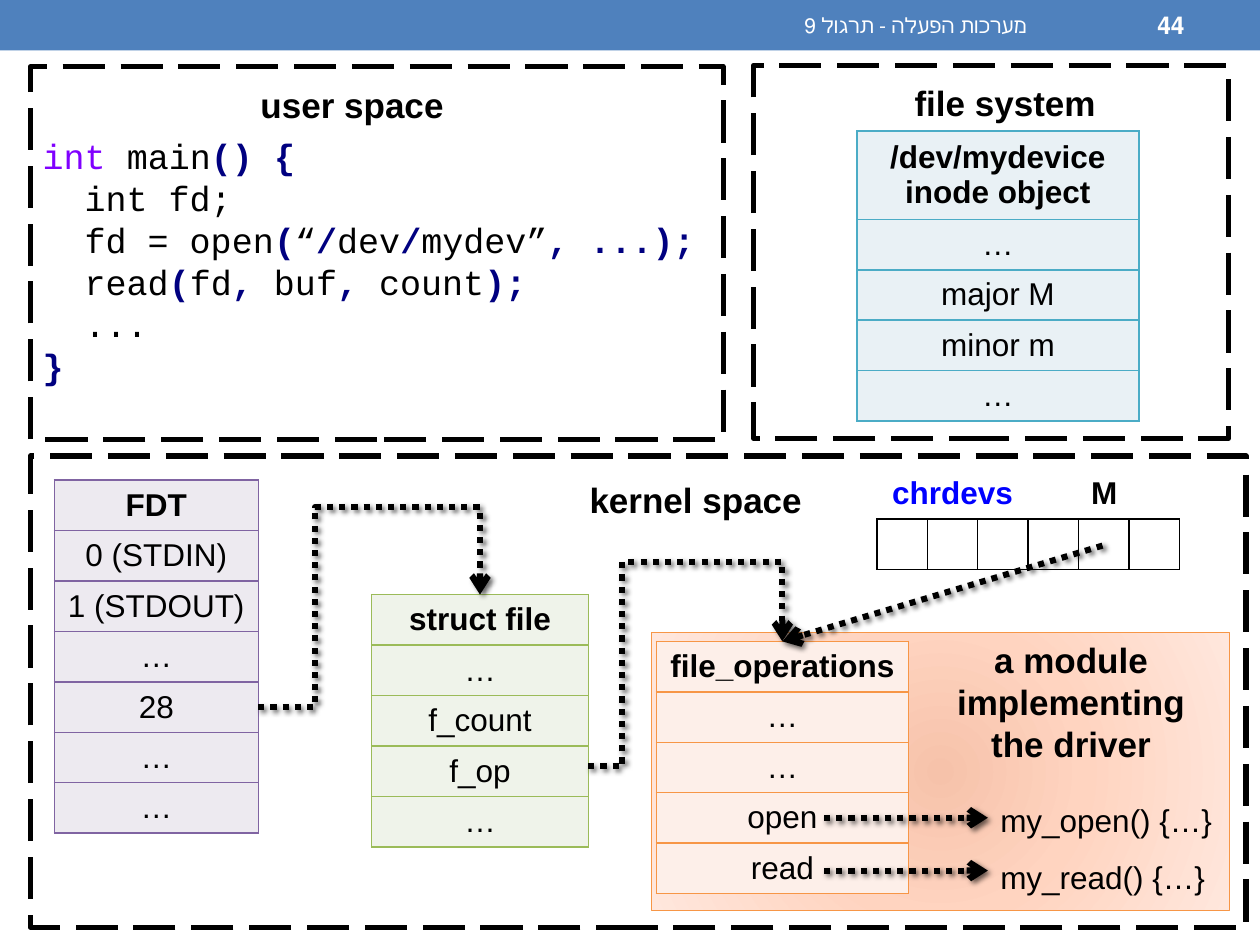
import dataclasses

import pptx
import pptx.dml.color
import pptx.enum.dml
import pptx.enum.shapes
import pptx.enum.text
import pptx.oxml
import pptx.oxml.ns
import pptx.util

Pt = pptx.util.Pt
RGB = pptx.dml.color.RGBColor.from_string
ALIGN = pptx.enum.text.PP_ALIGN
ANCHOR = pptx.enum.text.MSO_ANCHOR
AUTO_SIZE = pptx.enum.text.MSO_AUTO_SIZE
DASH = pptx.enum.dml.MSO_LINE
CONNECTOR = pptx.enum.shapes.MSO_CONNECTOR
RECTANGLE = pptx.enum.shapes.MSO_SHAPE.RECTANGLE
NS = pptx.oxml.ns.nsdecls("a")
qn = pptx.oxml.ns.qn


@dataclasses.dataclass(frozen=True)
class Theme:
    font: str = "Arial"
    code_font: str = "Courier New"
    heading: int = 20
    cell: int = 18
    number: int = 14
    course: int = 12
    black: str = "000000"
    white: str = "FFFFFF"
    band: str = "4F81BD"
    keyword: str = "8000FF"
    operator: str = "000080"
    array: str = "0000FF"
    purple: tuple = ("8064A2", "EDEAF0")
    green: tuple = ("9BBB59", "EFF3EA")
    orange: tuple = ("F79646", "FDEFE9")
    teal: tuple = ("4BACC6", "E9F1F5")
    module: tuple = ((0, "F6C2AA"), (45, "FFD4C0"), (100, "FFE7DD"))


theme = Theme()


def write_text(frame, lines, size, align=ALIGN.LEFT, font=theme.font):
    for index, runs in enumerate(lines):
        paragraph = frame.paragraphs[0] if index == 0 else frame.add_paragraph()
        paragraph.alignment = align
        for text, color, bold in runs:
            run = paragraph.add_run()
            run.text = text
            run.font.name = font
            run.font.size = Pt(size)
            run.font.bold = bold
            run.font.color.rgb = RGB(color)


def style_cell(cell, sides, border, fill=None):
    properties = cell._tc.get_or_add_tcPr()
    for side in sides:
        properties.append(pptx.oxml.parse_xml(
            f'<a:ln{side} {NS} w="12700"><a:solidFill><a:srgbClr val="{border}"/>'
            f'</a:solidFill></a:ln{side}>'))
    if fill:
        cell.fill.solid()
        cell.fill.fore_color.rgb = RGB(fill)
    else:
        cell.fill.background()
    cell.vertical_anchor = ANCHOR.MIDDLE


deck = pptx.Presentation()
deck.slide_width, deck.slide_height = Pt(720), Pt(540)
slide = deck.slides.add_slide(deck.slide_layouts[6])
shapes = slide.shapes

band = shapes.add_shape(RECTANGLE, 0, 0, Pt(720), Pt(28.8))
band.shadow.inherit = False
band.fill.solid()
band.fill.fore_color.rgb = RGB(theme.band)
band.line.fill.background()

for left, width, text, size, bold in (
    (270, 324, "מערכות הפעלה - תרגול 9", theme.course, False),
    (599.8, 84.2, "44", theme.number, True),
):
    header = shapes.add_textbox(Pt(left), Pt(1.4), Pt(width), Pt(25.9)).text_frame
    header.word_wrap = True
    header.vertical_anchor = ANCHOR.MIDDLE
    write_text(header, [[(text, theme.white, bold)]], size, ALIGN.RIGHT)
    header.paragraphs[0]._p.get_or_add_pPr().set("rtl", "1")

for area in (
    (17.3, 38.2, 396, 213.1),
    (17.3, 260.6, 694.8, 269.3),
    (430.6, 37.4, 271.4, 213.1),
):
    space = shapes.add_shape(RECTANGLE, *map(Pt, area))
    space.shadow.inherit = False
    space.fill.background()
    space.line.color.rgb = RGB(theme.black)
    space.line.width = Pt(3)
    space.line.dash_style = DASH.LONG_DASH

module = shapes.add_shape(RECTANGLE, Pt(372.2), Pt(361.4), Pt(330.5), Pt(159.1))
module.shadow.inherit = False
stops = "".join(f'<a:gs pos="{stop * 1000}"><a:srgbClr val="{color}"/></a:gs>'
                for stop, color in theme.module)
module.element.spPr.insert(2, pptx.oxml.parse_xml(
    f'<a:gradFill {NS} rotWithShape="1"><a:gsLst>{stops}</a:gsLst><a:path path="circle">'
    '<a:fillToRect l="100000" t="100000" r="100000" b="100000"/></a:path></a:gradFill>'))
module.line.color.rgb = RGB(theme.orange[0])
module.line.width = Pt(0.75)

for area, text, wrap, align in (
    ((141.8, 43.9, 120.2, 31.7), "user space", False, ALIGN.LEFT),
    ((329.8, 270, 136.8, 31.7), "kernel space", False, ALIGN.LEFT),
    ((515.5, 43.2, 118.8, 31.7), "file system", False, ALIGN.LEFT),
    ((531.4, 361.4, 161.3, 79.9), "a module implementing the driver", True, ALIGN.CENTER),
):
    heading = shapes.add_textbox(*map(Pt, area)).text_frame
    heading.word_wrap = wrap
    heading.auto_size = AUTO_SIZE.SHAPE_TO_FIT_TEXT
    write_text(heading, [[(text, theme.black, True)]], theme.heading, align)

keyword, plain, operator = (theme.keyword, False), (theme.black, False), (theme.operator, True)
code_lines = [
    [("int", *keyword), (" main", *plain), ("() {", *operator)],
    [("int fd;", *plain)],
    [("fd = open", *plain), ("(", *operator), ("“", *plain), ("/", *operator),
     ("dev", *plain), ("/", *operator), ("mydev”", *plain), (", ...);", *operator)],
    [("read", *plain), ("(", *operator), ("fd", *plain), (", ", *operator),
     ("buf", *plain), (", ", *operator), ("count", *plain), (");", *operator)],
    [("...", *plain)],
    [("}", *operator)],
]
code = shapes.add_textbox(Pt(17.3), Pt(73.4), Pt(396), Pt(152.6)).text_frame
code.word_wrap = True
code.auto_size = AUTO_SIZE.SHAPE_TO_FIT_TEXT
write_text(code, code_lines, theme.heading, font=theme.code_font)
for statement in code.paragraphs[1:-1]:
    statement._p.get_or_add_pPr().set("marL", str(Pt(24)))

functions = shapes.add_textbox(Pt(564.5), Pt(443.5), Pt(138.2), Pt(68.4)).text_frame
functions.word_wrap = True
functions.auto_size = AUTO_SIZE.SHAPE_TO_FIT_TEXT
write_text(functions, [[(name, *plain)] for name in ("my_open() {…}", "my_read() {…}")], theme.cell)
for function in functions.paragraphs:
    function.line_spacing = 1.5

row_height = 28.8
for left, top, width, header_height, (border, fill), entries in (
    (31, 274.3, 116.6, row_height, theme.purple,
     ["FDT", "0 (STDIN)", "1 (STDOUT)", "…", "28", "…", "…"]),
    (212.4, 339.8, 123.8, row_height, theme.green,
     ["struct file", "…", "f_count", "f_op", "…"]),
    (375.1, 366.5, 144, row_height, theme.orange,
     ["file_operations", "…", "…", "open", "read"]),
    (489.6, 74.9, 161.3, 50.4, theme.teal,
     ["/dev/mydevice\ninode object", "…", "major M", "minor m", "…"]),
):
    height = header_height + row_height * (len(entries) - 1)
    record = shapes.add_table(len(entries), 1, Pt(left), Pt(top), Pt(width), Pt(height)).table
    record.horz_banding = False
    for row, entry in enumerate(entries):
        record.rows[row].height = Pt(row_height if row else header_height)
        field = record.cell(row, 0)
        style_cell(field, "LRTB", border, fill)
        lines = [[(line, theme.black, row == 0)] for line in entry.split("\n")]
        write_text(field.text_frame, lines, theme.cell, ALIGN.CENTER)

chrdevs = shapes.add_table(2, 6, Pt(501.1), Pt(267.8), Pt(6 * row_height), Pt(2 * row_height)).table
chrdevs.horz_banding = False
for row, sides in enumerate(("B", "LRTB")):
    chrdevs.rows[row].height = Pt(row_height)
    for column in range(6):
        style_cell(chrdevs.cell(row, column), sides, theme.black)
chrdevs.cell(0, 0).merge(chrdevs.cell(0, 2))
for column, text, color in ((0, "chrdevs", theme.array), (4, "M", theme.black)):
    write_text(chrdevs.cell(0, column).text_frame, [[(text, color, True)]], theme.cell, ALIGN.CENTER)

for start, end, bends in (
    ((470.9, 467.3), (564.5, 467.3), ()),
    ((470.9, 497.5), (564.5, 497.5), ()),
    ((147.6, 403.9), (274.3, 339.8), (25600, 178100)),
    ((630, 311.8), (447.1, 366.5), ()),
    ((336.2, 437.8), (447.1, 366.5), (17600, 163500)),
):
    kind = CONNECTOR.ELBOW if bends else CONNECTOR.STRAIGHT
    pointer = shapes.add_connector(kind, *map(Pt, start + end))
    pointer.line.color.rgb = RGB(theme.black)
    pointer.line.width = Pt(3.5)
    pointer.line.dash_style = DASH.ROUND_DOT
    properties = pointer.element.spPr
    properties.find(qn("a:ln")).append(pptx.oxml.parse_xml(f'<a:tailEnd {NS} type="arrow"/>'))
    properties.append(pptx.oxml.parse_xml(
        f'<a:effectLst {NS}><a:outerShdw blurRad="{Pt(3)}" dist="{Pt(2)}" dir="2700000">'
        f'<a:srgbClr val="{theme.black}"><a:alpha val="60000"/></a:srgbClr>'
        '</a:outerShdw></a:effectLst>'))
    if bends:
        geometry = properties.find(qn("a:prstGeom"))
        geometry.set("prst", "bentConnector4")
        for index, bend in enumerate(bends, 1):
            geometry.find(qn("a:avLst")).append(pptx.oxml.parse_xml(
                f'<a:gd {NS} name="adj{index}" fmla="val {bend}"/>'))

deck.save("out.pptx")
